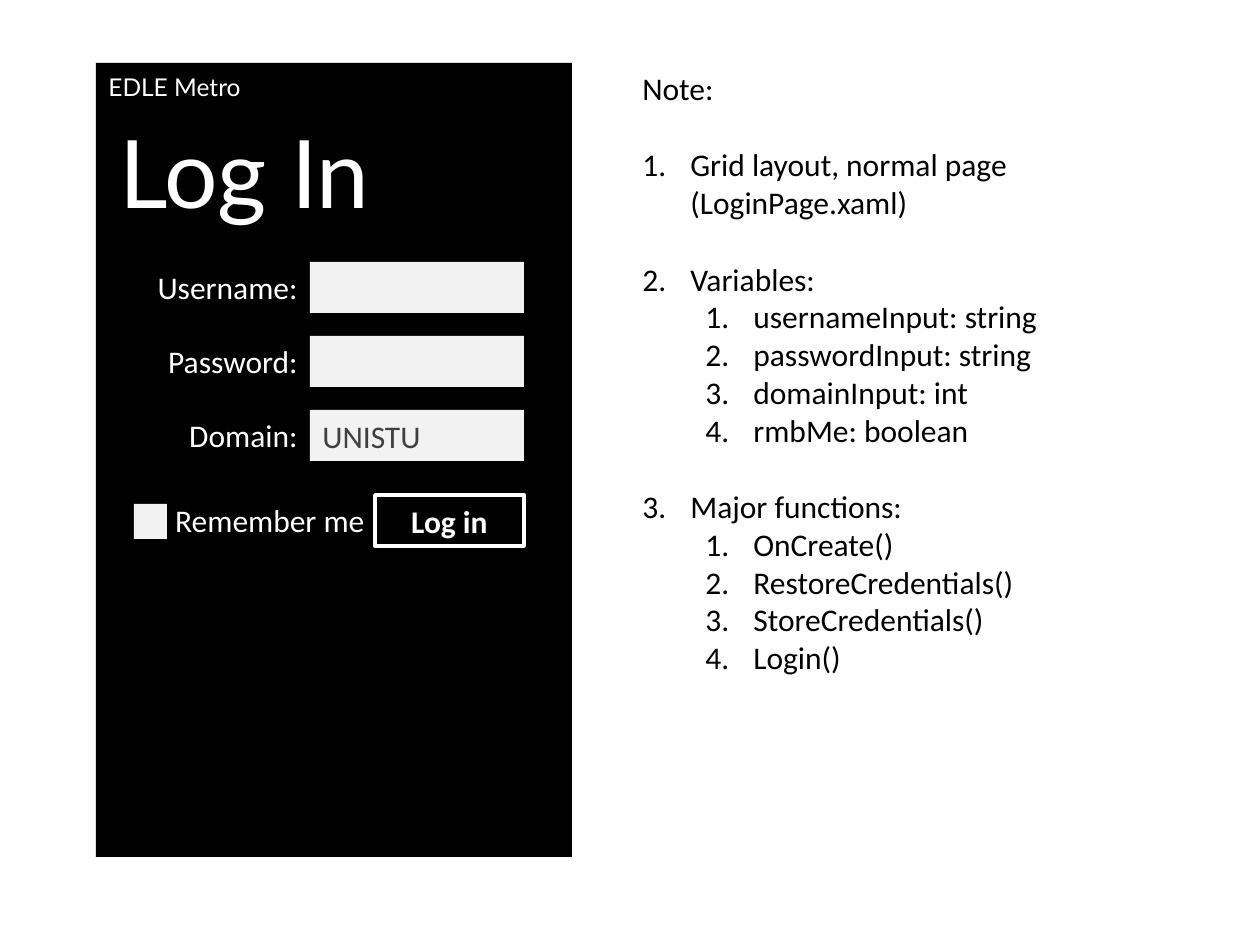
from lxml import etree
from pptx import Presentation
from pptx.dml.color import RGBColor
from pptx.enum.shapes import MSO_SHAPE
from pptx.enum.text import MSO_ANCHOR, PP_ALIGN
from pptx.oxml.ns import qn
from pptx.util import Emu, Pt

PX = 914400 // 126
RECTANGLE = MSO_SHAPE.RECTANGLE
LEFT, CENTER, RIGHT = PP_ALIGN.LEFT, PP_ALIGN.CENTER, PP_ALIGN.RIGHT
TOP, MIDDLE = MSO_ANCHOR.TOP, MSO_ANCHOR.MIDDLE

BLACK = RGBColor(0x00, 0x00, 0x00)
WHITE = RGBColor(0xFF, 0xFF, 0xFF)
LIGHT_GRAY = RGBColor(0xF2, 0xF2, 0xF2)
DARK_GRAY = RGBColor(0x40, 0x40, 0x40)

# Content
APP_NAME = "EDLE Metro"
PAGE_TITLE = "Log In"
FIELDS = [("Username:", ""), ("Password:", ""), ("Domain:", "UNISTU")]
REMEMBER = "Remember me"
BUTTON = "Log in"
NOTE_HEADING = "Note:"
NOTES = [
    ("Grid layout, normal page (LoginPage.xaml)", []),
    ("Variables:", ["usernameInput: string", "passwordInput: string",
                    "domainInput: int", "rmbMe: boolean"]),
    ("Major functions:", ["OnCreate()", "RestoreCredentials()",
                          "StoreCredentials()", "Login()"]),
]

# Layout in px
PANEL = (96, 63, 476, 794)
FIELD_TOP, FIELD_PITCH, FIELD_HEIGHT = 262, 74, 51
LABEL_LEFT, LABEL_WIDTH = 115, 195
INPUT_LEFT, INPUT_WIDTH = 310, 214
NOTE_BOX = (630, 63, 557, 776)
NUMBER_WIDTH = 48
INDENTS = (48, 111)
ITEM_GAP = Pt(22)


def px(*values):
    return [Emu(value * PX) for value in values]


def write(paragraph, text, size=18, name="Calibri", color=WHITE, bold=False, align=LEFT):
    paragraph.alignment = align
    run = paragraph.add_run()
    run.text = text
    run.font.color.rgb = color
    for attribute, value in {"size": Pt(size), "name": name, "bold": bold}.items():
        setattr(run.font, attribute, value)


def add_text(shapes, box, text, **style):
    text_box = shapes.add_textbox(*px(*box))
    text_box.text_frame.word_wrap = True
    text_box.text_frame.vertical_anchor = TOP
    write(text_box.text_frame.paragraphs[0], text, **style)
    return text_box


def add_box(shapes, box, fill=None, line=None, text="", **style):
    shape = shapes.add_shape(RECTANGLE, *px(*box))
    shape.shadow.inherit = False
    if fill is None:
        shape.fill.background()
    else:
        shape.fill.solid()
        shape.fill.fore_color.rgb = fill
    if line is None:
        shape.line.fill.background()
    else:
        shape.line.color.rgb = line
        shape.line.width = Pt(2)
    if text:
        shape.text_frame.vertical_anchor = MIDDLE
        write(shape.text_frame.paragraphs[0], text, **style)


def add_numbered(text_frame, text, level, gap=0):
    paragraph = text_frame.add_paragraph()
    paragraph.level = level
    paragraph.space_before = gap
    write(paragraph, text, color=BLACK)
    properties = paragraph._p.get_or_add_pPr()
    properties.set("marL", str(INDENTS[level] * PX))
    properties.set("indent", str(-NUMBER_WIDTH * PX))
    etree.SubElement(properties, qn("a:buFont"), typeface="+mj-lt")
    etree.SubElement(properties, qn("a:buAutoNum"), type="arabicPeriod")


presentation = Presentation()
presentation.slide_width, presentation.slide_height = px(1260, 945)
slide = presentation.slides.add_slide(presentation.slide_layouts[6])

# Phone screen with its headings
screen = slide.shapes.add_group_shape().shapes
add_box(screen, PANEL, fill=BLACK)
add_text(screen, (96, 66, 252, 43), APP_NAME, size=14, name="Lato")
add_text(screen, (107, 108, 428, 127), PAGE_TITLE, size=54, name="Lato")

# Labelled input fields
for row, (label, value) in enumerate(FIELDS):
    top = FIELD_TOP + row * FIELD_PITCH
    add_text(screen, (LABEL_LEFT, top, LABEL_WIDTH, FIELD_HEIGHT), label, align=RIGHT)
    add_box(screen, (INPUT_LEFT, top, INPUT_WIDTH, FIELD_HEIGHT), fill=LIGHT_GRAY,
            text=value, color=DARK_GRAY)

# Check box and button
add_text(screen, (136, 495, 241, 89), REMEMBER, align=RIGHT)
add_box(screen, (134, 504, 33, 35), fill=LIGHT_GRAY)
add_box(screen, (375, 495, 149, FIELD_HEIGHT), line=WHITE, text=BUTTON, bold=True, align=CENTER)

# Numbered notes
notes = add_text(slide.shapes, NOTE_BOX, NOTE_HEADING, color=BLACK).text_frame
for heading, items in NOTES:
    add_numbered(notes, heading, level=0, gap=ITEM_GAP)
    for item in items:
        add_numbered(notes, item, level=1)

presentation.save("out.pptx")
